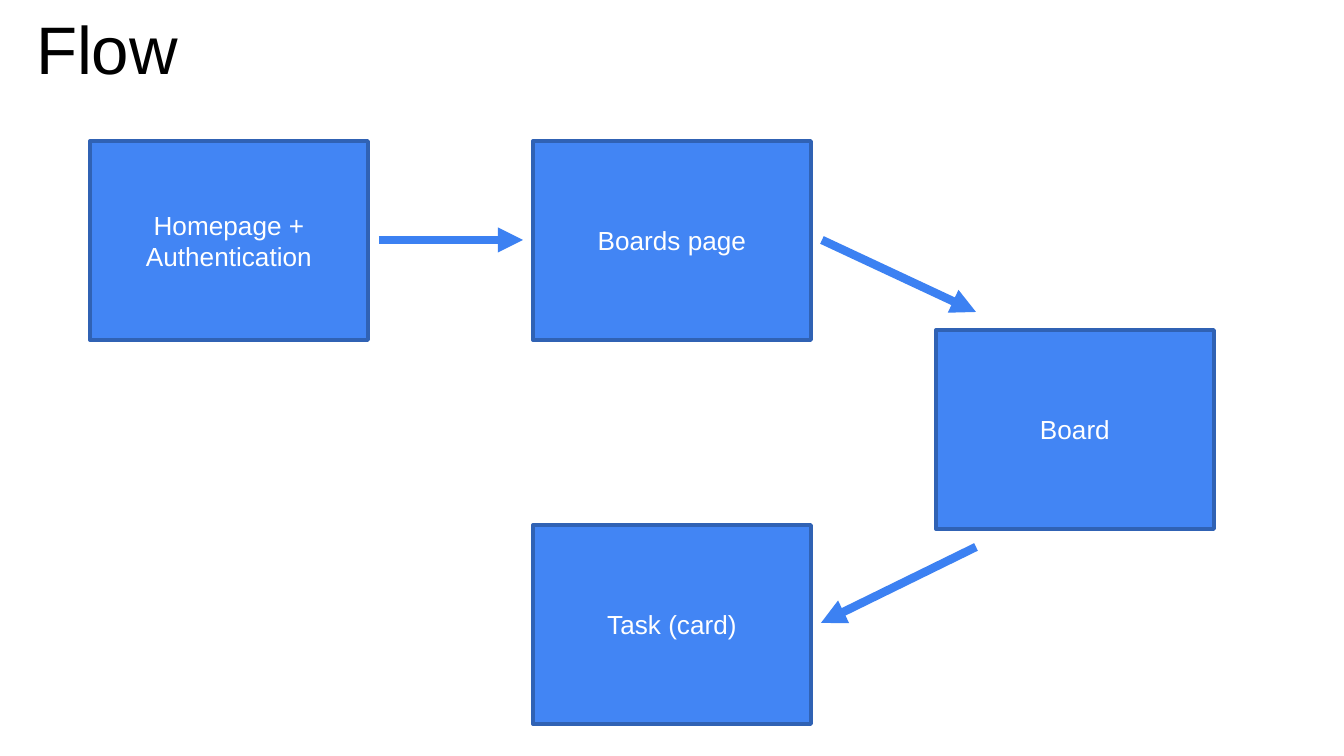
from dataclasses import dataclass

from lxml.etree import SubElement
from pptx import Presentation
from pptx.dml.color import RGBColor
from pptx.enum.shapes import MSO_CONNECTOR, MSO_SHAPE
from pptx.enum.text import MSO_ANCHOR, MSO_AUTO_SIZE, PP_ALIGN
from pptx.oxml.ns import qn
from pptx.util import Emu, Pt

PIXELS_PER_INCH = 134.4
BOX_WIDTH, BOX_HEIGHT = 278, 199


@dataclass(frozen=True)
class Theme:
    font: str = "Arial"
    title_color: RGBColor = RGBColor(0, 0, 0)
    box_fill: RGBColor = RGBColor(0x42, 0x85, 0xF4)
    box_line: RGBColor = RGBColor(0x30, 0x62, 0xB4)
    box_text: RGBColor = RGBColor(0xFF, 0xFF, 0xFF)
    arrow: RGBColor = RGBColor(0x3C, 0x81, 0xF2)
    title_size: Pt = Pt(36)
    box_size: Pt = Pt(14)
    box_line_width: Pt = Pt(2)
    arrow_width: Pt = Pt(4.5)


THEME = Theme()


def px(length):
    return Emu(round(length * 914400 / PIXELS_PER_INCH))


def write_text(frame, text, size, color, alignment, anchor, vertical_inset):
    frame.word_wrap = True
    frame.auto_size = MSO_AUTO_SIZE.NONE
    frame.vertical_anchor = anchor
    frame.margin_left = frame.margin_right = px(13)
    frame.margin_top = frame.margin_bottom = px(vertical_inset)
    para = frame.paragraphs[0]
    para.alignment = alignment
    span = para.add_run()
    span.text = text
    span.font.name = THEME.font
    span.font.size = size
    span.font.color.rgb = color


def set_title(page, text):
    title = page.shapes.title
    title.left, title.top = px(23), px(58)
    title.width, title.height = px(1253), px(43)
    write_text(title.text_frame, text, THEME.title_size, THEME.title_color,
               PP_ALIGN.LEFT, MSO_ANCHOR.BOTTOM, 13)


def add_step(page, text, left, top):
    box = page.shapes.add_shape(MSO_SHAPE.RECTANGLE, px(left), px(top),
                                px(BOX_WIDTH), px(BOX_HEIGHT))
    box.shadow.inherit = False
    box.fill.solid()
    box.fill.fore_color.rgb = THEME.box_fill
    box.line.color.rgb = THEME.box_line
    box.line.width = THEME.box_line_width
    write_text(box.text_frame, text, THEME.box_size, THEME.box_text,
               PP_ALIGN.CENTER, MSO_ANCHOR.MIDDLE, 7)


def add_arrow(page, start, end):
    arrow = page.shapes.add_connector(MSO_CONNECTOR.STRAIGHT,
                                      *map(px, start + end))
    arrow.line.color.rgb = THEME.arrow
    arrow.line.width = THEME.arrow_width
    SubElement(arrow.line._get_or_add_ln(), qn("a:tailEnd"), type="triangle")
    SubElement(arrow._element.spPr, qn("a:effectLst"))


def main():
    deck = Presentation()
    deck.slide_width, deck.slide_height = px(1344), px(756)
    page = deck.slides.add_slide(deck.slide_layouts.get_by_name("Title Only"))
    set_title(page, "Flow")

    steps = [
        ("Homepage + Authentication", 90, 141),
        ("Boards page", 533, 141),
        ("Board", 936, 330),
        ("Task (card)", 533, 525),
    ]
    for text, left, top in steps:
        add_step(page, text, left, top)

    arrows = [
        ((379, 240), (523, 240)),
        ((822, 240), (976, 312)),
        ((976, 547), (821, 623)),
    ]
    for start, end in arrows:
        add_arrow(page, start, end)

    deck.save("out.pptx")


if __name__ == "__main__":
    main()
